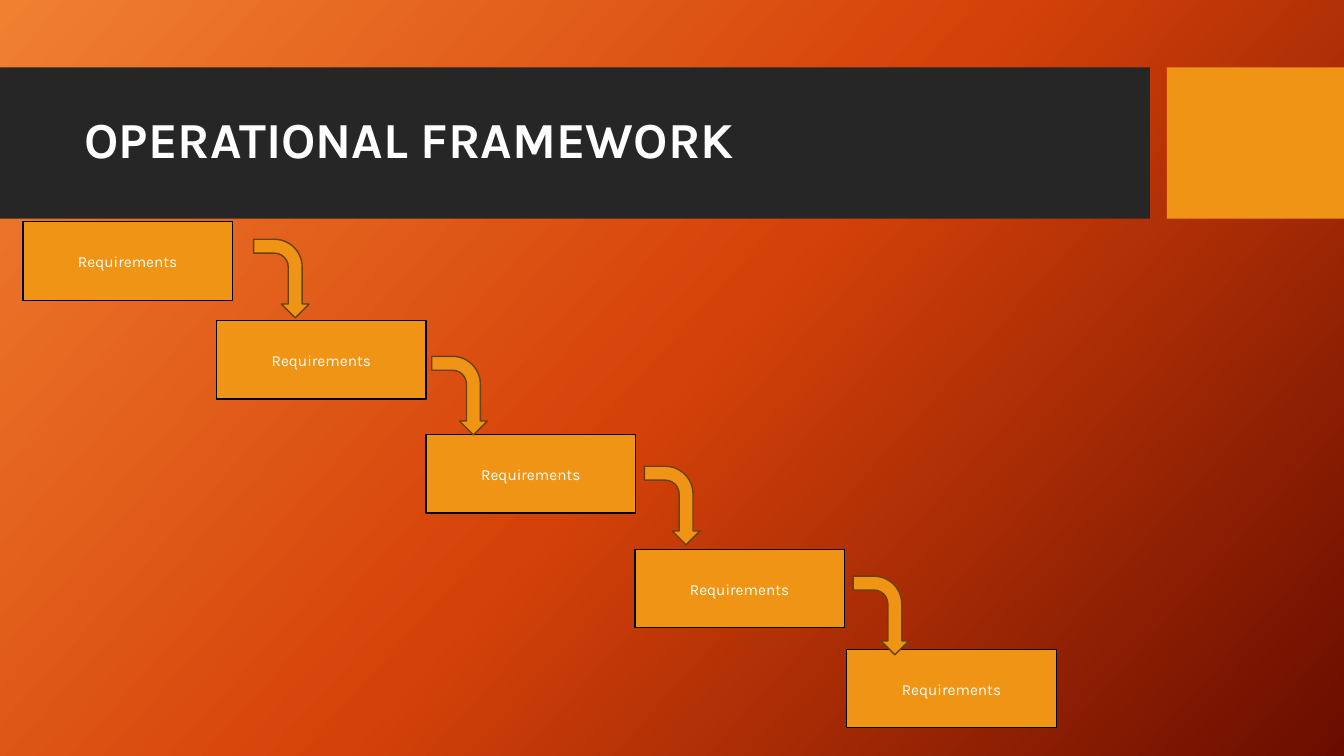
"""Build the Operational Framework waterfall slide."""
from copy import deepcopy

from pptx import Presentation
from pptx.dml.color import RGBColor
from pptx.enum.shapes import MSO_SHAPE
from pptx.enum.text import MSO_ANCHOR, PP_ALIGN
from pptx.oxml.ns import qn
from pptx.util import Cm, Pt

ORANGE = RGBColor(0xF0, 0x94, 0x15)
BROWN = RGBColor(0x69, 0x41, 0x09)
CHARCOAL = RGBColor(0x26, 0x26, 0x26)
BLACK = RGBColor(0x00, 0x00, 0x00)
WHITE = RGBColor(0xFF, 0xFF, 0xFF)
GRADIENT = [
    (0, RGBColor(0xF1, 0x80, 0x31)),
    (0.5, RGBColor(0xD5, 0x42, 0x09)),
    (1, RGBColor(0x6A, 0x0D, 0x00)),
]

BAND_TOP, BAND_H = 1.7, 3.81
STEP_W, STEP_H = 5.28, 1.98
ARROW_W, ARROW_H = 1.98, 1.4
STEPS = [(0.58, 5.59), (5.46, 8.08), (10.74, 10.95), (16, 13.84), (21.34, 16.36)]
ARROWS = [(6.1, 6.32), (10.59, 9.27), (15.95, 12.04), (21.21, 14.81)]

prs = Presentation()
prs.slide_width, prs.slide_height = Cm(33.87), Cm(19.05)
s = prs.slides.add_slide(prs.slide_layouts[6])

fill = s.background.fill
fill.gradient()
fill.gradient_angle = 360 - 42
stops = next(s.element.iter(qn("a:gsLst")))
stops.append(deepcopy(stops[0]))
for stop, (position, color) in zip(fill.gradient_stops, GRADIENT):
    stop.position = position
    stop.color.rgb = color


def add_block(kind, left, top, width, height, color, line=None):
    sp = s.shapes.add_shape(kind, Cm(left), Cm(top), Cm(width), Cm(height))
    sp.shadow.inherit = False
    sp.fill.solid()
    sp.fill.fore_color.rgb = color
    if line is None:
        sp.line.fill.background()
    else:
        sp.line.color.rgb = line
        sp.line.width = Pt(1)
    return sp


def write(sp, text, font, paragraph):
    tf = sp.text_frame
    tf.word_wrap = True
    tf.vertical_anchor = MSO_ANCHOR.MIDDLE
    p = tf.paragraphs[0]
    for name, value in paragraph.items():
        setattr(p, name, value)
    r = p.add_run()
    r.text = text
    r.font.color.rgb = WHITE
    for name, value in font.items():
        setattr(r.font, name, value)


add_block(MSO_SHAPE.RECTANGLE, 0, BAND_TOP, 28.98, BAND_H, CHARCOAL)
add_block(MSO_SHAPE.RECTANGLE, 29.41, BAND_TOP, 4.46, BAND_H, ORANGE)

title = s.shapes.add_textbox(Cm(1.88), Cm(2.08), Cm(26.7), Cm(3))
write(title, "OPERATIONAL FRAMEWORK",
      {"name": "Karla", "size": Pt(36), "bold": True},
      {"alignment": PP_ALIGN.LEFT, "line_spacing": 0.9})

for left, top in STEPS:
    step = add_block(MSO_SHAPE.RECTANGLE, left, top, STEP_W, STEP_H, ORANGE, BLACK)
    write(step, "Requirements",
          {"name": "Karla", "size": Pt(11)},
          {"alignment": PP_ALIGN.CENTER, "line_spacing": 1.07, "space_after": Pt(8)})

for left, top in ARROWS:
    arrow = add_block(MSO_SHAPE.BENT_ARROW, left, top, ARROW_W, ARROW_H, ORANGE, BROWN)
    arrow.rotation = 90
    arrow.adjustments[3] = 0.5

prs.save("out.pptx")
